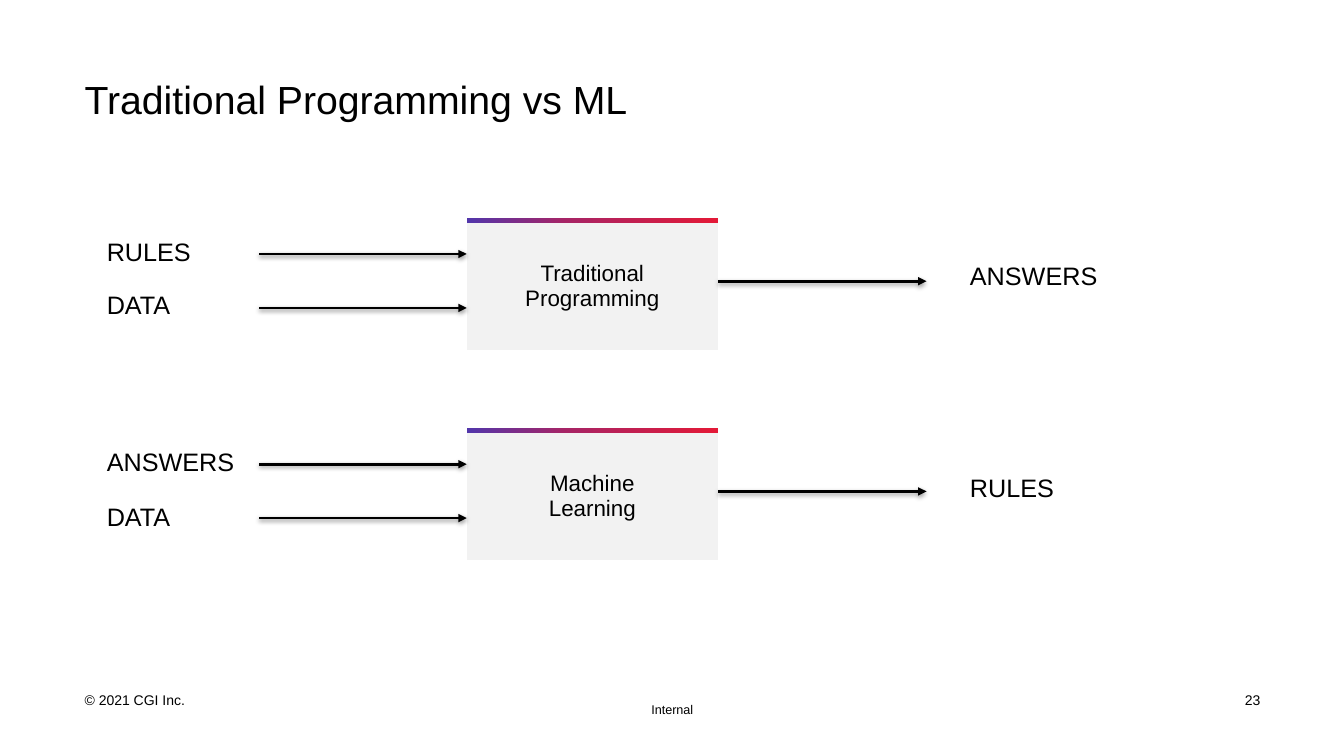
from lxml import etree
from pptx import Presentation
from pptx.dml.color import RGBColor
from pptx.enum.shapes import MSO_CONNECTOR
from pptx.enum.text import MSO_ANCHOR, PP_ALIGN
from pptx.oxml import parse_xml
from pptx.oxml.ns import qn
from pptx.util import Inches, Pt

LEFT, MID, RIGHT = PP_ALIGN.LEFT, PP_ALIGN.CENTER, PP_ALIGN.RIGHT
TOP, CENTER = MSO_ANCHOR.TOP, MSO_ANCHOR.MIDDLE
STRAIGHT = MSO_CONNECTOR.STRAIGHT

COLORS = {"ink": "000000", "panel": "F2F2F2",
          "red": "E31937", "plum": "A82465", "violet": "5236AB"}
NS = 'xmlns:a="http://schemas.openxmlformats.org/drawingml/2006/main"'
NO_GRID = "{2D5ABB26-0587-4C30-8999-92F81FD0307C}"


class Deck:
    """Holds the style and the slide; lengths are percent of its size."""

    def __init__(self):
        self.prs = Presentation()
        self.prs.slide_width = Inches(13.33)
        self.prs.slide_height = Inches(7.5)
        self.slide = self.prs.slides.add_slide(self.prs.slide_layouts[6])
        self.font = "Arial"

    def x(self, share):
        return round(self.prs.slide_width * share / 100)

    def y(self, share):
        return round(self.prs.slide_height * share / 100)

    def style(self, frame, size, align):
        for para in frame.paragraphs:
            para.alignment = align
            para.font.name = self.font
            para.font.size = Pt(size)
            para.font.color.rgb = RGBColor.from_string(COLORS["ink"])

    def text(self, words, left, top, width, height, size,
             align=LEFT, anchor=TOP):
        box = self.slide.shapes.add_textbox(
            self.x(left), self.y(top), self.x(width), self.y(height))
        frame = box.text_frame
        frame.word_wrap = True
        frame.vertical_anchor = anchor
        frame.margin_left = frame.margin_right = 0
        frame.margin_top = frame.margin_bottom = 0
        frame.text = words
        self.style(frame, size, align)

    def arrow(self, start, end, row):
        line = self.slide.shapes.add_connector(
            STRAIGHT, self.x(start), self.y(row), self.x(end), self.y(row))
        line.line.width = Pt(2)
        line.line.color.rgb = RGBColor.from_string(COLORS["ink"])
        props = line._element.spPr
        etree.SubElement(props.find(qn("a:ln")), qn("a:tailEnd"),
                         type="triangle")
        props.append(parse_xml(
            f'<a:effectLst {NS}><a:outerShdw blurRad="40000" dist="20000" '
            f'dir="5400000" rotWithShape="0"><a:srgbClr val="{COLORS["ink"]}">'
            '<a:alpha val="38000"/></a:srgbClr></a:outerShdw></a:effectLst>'))

    def panel(self, words, left, top, width, bar, body):
        """Draw a two-row table: a thin gradient bar over a text cell."""
        table = self.slide.shapes.add_table(
            2, 1, self.x(left), self.y(top),
            self.x(width), self.y(bar + body)).table
        table.first_row = table.horz_banding = False
        table._tbl.tblPr.find(qn("a:tableStyleId")).text = NO_GRID
        for row, height, pad in zip(table.rows, (bar, body), (0, 0.12)):
            row.height = self.y(height)
            cell = row.cells[0]
            cell.margin_left = cell.margin_right = Inches(pad)
            cell.margin_top = cell.margin_bottom = Inches(pad)
        strip, cell = table.cell(0, 0), table.cell(1, 0)
        para = strip.text_frame.paragraphs[0]._p
        etree.SubElement(para, qn("a:endParaRPr"), sz="100")
        stops = "".join(
            f'<a:gs pos="{pos}000"><a:srgbClr val="{COLORS[name]}"/></a:gs>'
            for pos, name in ((0, "red"), (60, "plum"), (100, "violet")))
        strip._tc.get_or_add_tcPr().append(parse_xml(
            f'<a:gradFill {NS}><a:gsLst>{stops}</a:gsLst>'
            '<a:lin ang="10800000" scaled="0"/></a:gradFill>'))
        cell.fill.solid()
        cell.fill.fore_color.rgb = RGBColor.from_string(COLORS["panel"])
        cell.vertical_anchor = CENTER
        cell.text = words
        self.style(cell.text_frame, 16, MID)

    def flow(self, name, top, inputs, output):
        """Draw inputs, panel and output; label rows count from the top."""
        start, left, right, end = 19.28, 34.73, 53.41, 68.94
        self.panel(name, left, top, right - left, 0.67, 16.8)
        for row in (4.8, 11.93):
            self.arrow(start, left, top + row)
        self.arrow(right, end, top + 8.4)
        for words, row in inputs:
            self.text(words, 7.95, top + row, 10.1, 4.4, 18)
        words, row = output
        self.text(words, 72.17, top + row, 11.7, 4.4, 18)


def main():
    deck = Deck()
    deck.text("Traditional Programming vs ML", 6.3, 10, 87.47, 8.4, 28)
    deck.flow("Traditional\nProgramming", 28.8,
              (("RULES", 2.5), ("DATA", 9.47)), ("ANSWERS", 5.6))
    deck.flow("Machine\vLearning", 56.6,
              (("ANSWERS", 2.5), ("DATA", 9.67)), ("RULES", 5.93))
    deck.text("© 2021 CGI Inc.", 6.3, 91.33, 15.75, 2.53, 10, anchor=CENTER)
    deck.text("Internal", 48.46, 92.8, 3.38, 2, 9)
    deck.text("23", 91.6, 91.33, 2.18, 2.53, 10, RIGHT, CENTER)
    deck.prs.save("out.pptx")


if __name__ == "__main__":
    main()
